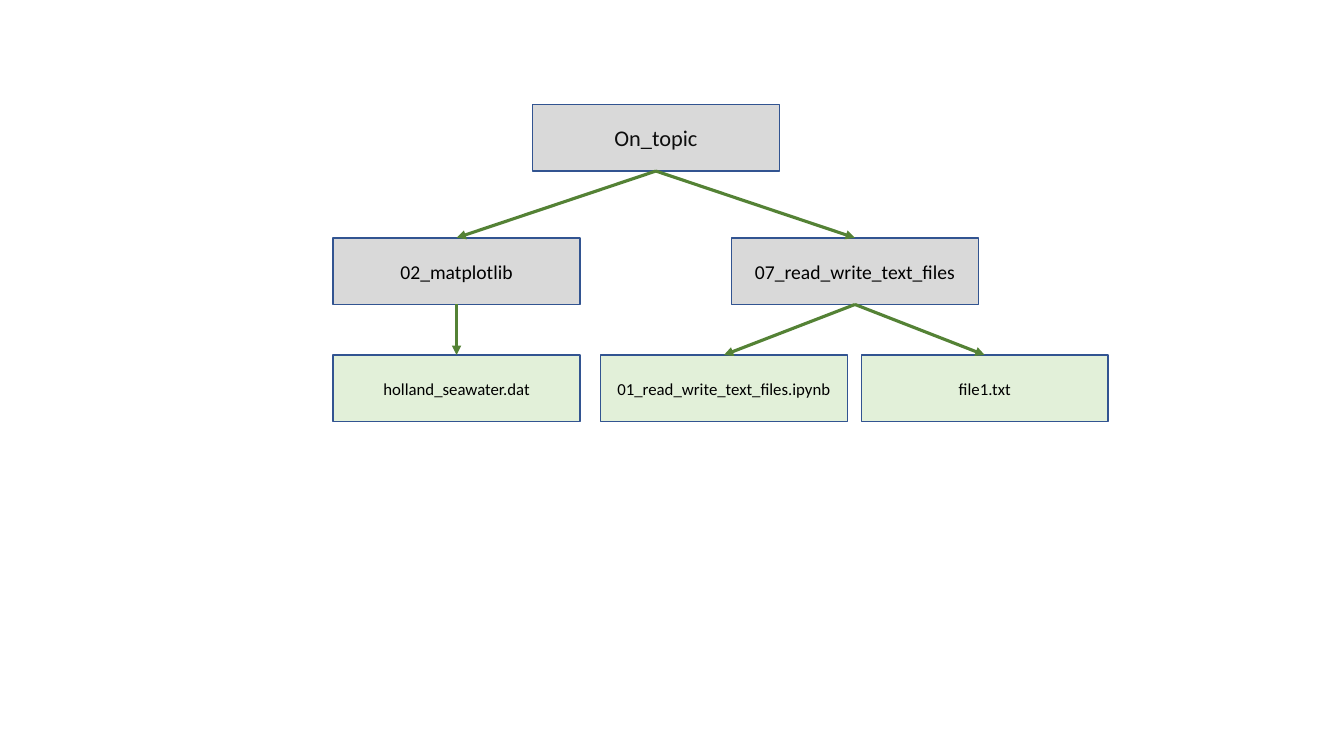
from dataclasses import dataclass

from lxml.etree import SubElement
from pptx import Presentation
from pptx.dml.color import RGBColor
from pptx.enum.shapes import MSO_CONNECTOR as Connector, MSO_SHAPE as Preset
from pptx.enum.text import MSO_ANCHOR as Anchor, PP_ALIGN as Align
from pptx.oxml.ns import qn
from pptx.util import Pt

# Each node: name, level, horizontal centre in points, parent name
NODES = [
    ("On_topic", "root", 468.5, None),
    ("02_matplotlib", "folder", 326.1, "On_topic"),
    ("07_read_write_text_files", "folder", 610.7, "On_topic"),
    ("holland_seawater.dat", "file", 326.1, "02_matplotlib"),
    ("01_read_write_text_files.ipynb", "file", 517.1, "07_read_write_text_files"),
    ("file1.txt", "file", 703.4, "07_read_write_text_files"),
]
LEVEL_TOPS = {"root": 74.6, "folder": 169.9, "file": 253.6}
BOX_WIDTH, BOX_HEIGHT = 176.4, 47.6
TOP_SITE, BOTTOM_SITE = 0, 2


@dataclass(frozen=True)
class Theme:
    """Colours, font and sizes of the tree."""
    font: str = "Calibri"
    outline: str = "325491"
    arrow: str = "548235"
    outline_width: float = 1
    arrow_width: float = 2.25
    # Fill, text colour and text size for each level
    levels: tuple = (
        ("root", ("D9D9D9", "0D0D0D", 16)),
        ("folder", ("D9D9D9", "000000", 14)),
        ("file", ("E2F0D9", "000000", 12)),
    )


THEME = Theme()
LEVEL_STYLES = dict(THEME.levels)


def write_text(shape, text, *, size, color, align=Align.CENTER, anchor=Anchor.MIDDLE):
    """Put one formatted line of text in a shape."""
    frame = shape.text_frame
    frame.word_wrap = True
    frame.vertical_anchor = anchor
    paragraph = frame.paragraphs[0]
    paragraph.alignment = align
    run = paragraph.add_run()
    run.text = text
    run.font.name = THEME.font
    run.font.size = Pt(size)
    run.font.color.rgb = RGBColor.from_string(color)


def style_line(line, color, width):
    """Set the colour and width of a line."""
    line.color.rgb = RGBColor.from_string(color)
    line.width = Pt(width)


def add_node(slide, name, level, center):
    """Draw one box of the tree."""
    fill, color, size = LEVEL_STYLES[level]
    shape = slide.shapes.add_shape(
        Preset.RECTANGLE, Pt(center - BOX_WIDTH / 2), Pt(LEVEL_TOPS[level]),
        Pt(BOX_WIDTH), Pt(BOX_HEIGHT))
    shape.shadow.inherit = False
    shape.fill.solid()
    shape.fill.fore_color.rgb = RGBColor.from_string(fill)
    style_line(shape.line, THEME.outline, THEME.outline_width)
    write_text(shape, name, size=size, color=color)
    return shape


def add_arrow(slide, parent, child):
    """Join the bottom of the parent to the top of the child."""
    arrow = slide.shapes.add_connector(
        Connector.STRAIGHT,
        parent.left + parent.width // 2, parent.top + parent.height,
        child.left + child.width // 2, child.top)
    arrow.begin_connect(parent, BOTTOM_SITE)
    arrow.end_connect(child, TOP_SITE)
    style_line(arrow.line, THEME.arrow, THEME.arrow_width)
    properties = arrow._element.spPr
    SubElement(properties.find(qn("a:ln")), qn("a:tailEnd"), type="triangle")
    SubElement(properties, qn("a:effectLst"))


def main():
    """Build the folder tree slide."""
    presentation = Presentation()
    presentation.slide_width, presentation.slide_height = Pt(960), Pt(540)
    slide = presentation.slides.add_slide(presentation.slide_layouts[6])
    boxes = {name: add_node(slide, name, level, center)
             for name, level, center, _ in NODES}
    for name, _, _, parent in NODES:
        if parent:
            add_arrow(slide, boxes[parent], boxes[name])
    presentation.save("out.pptx")


main()
